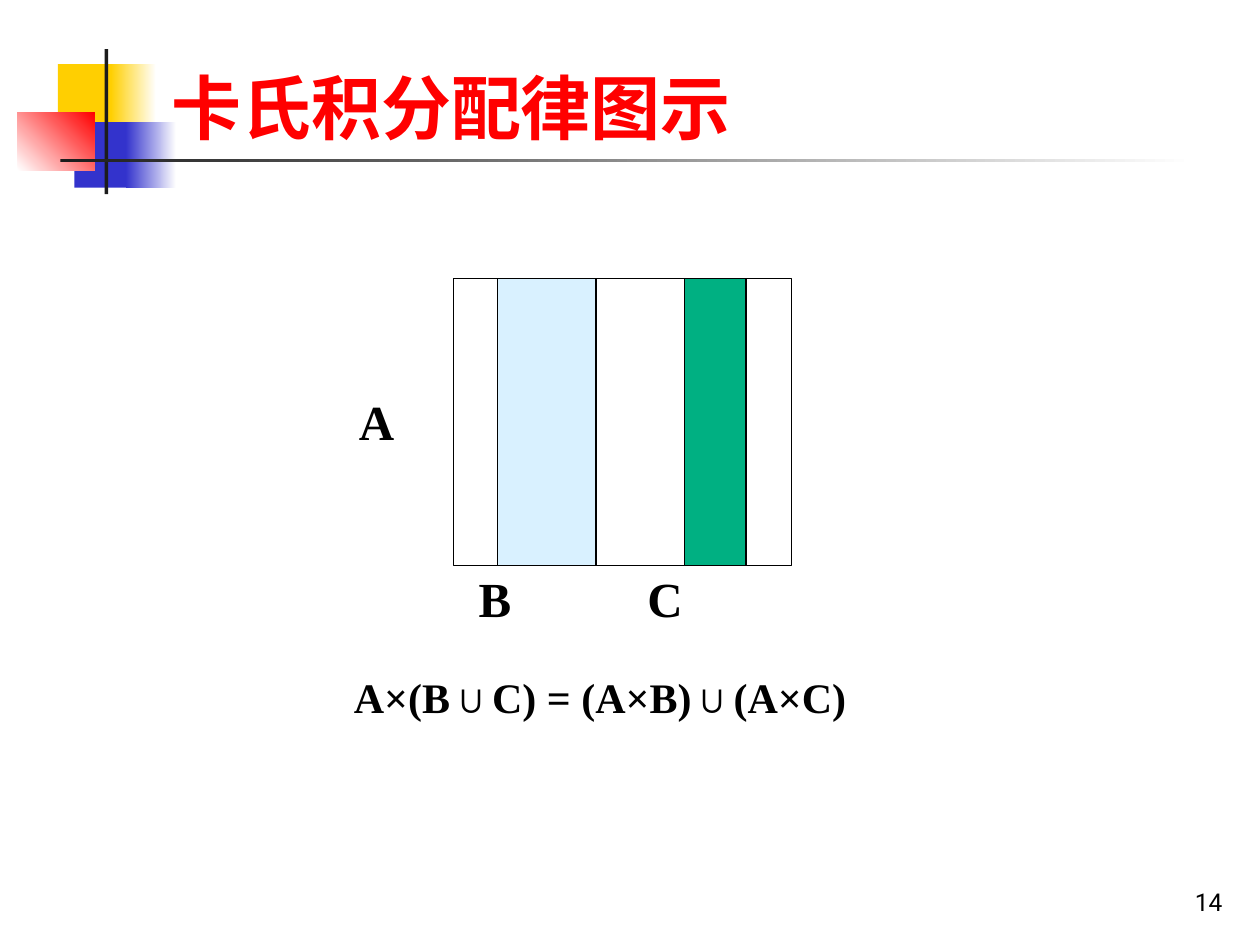
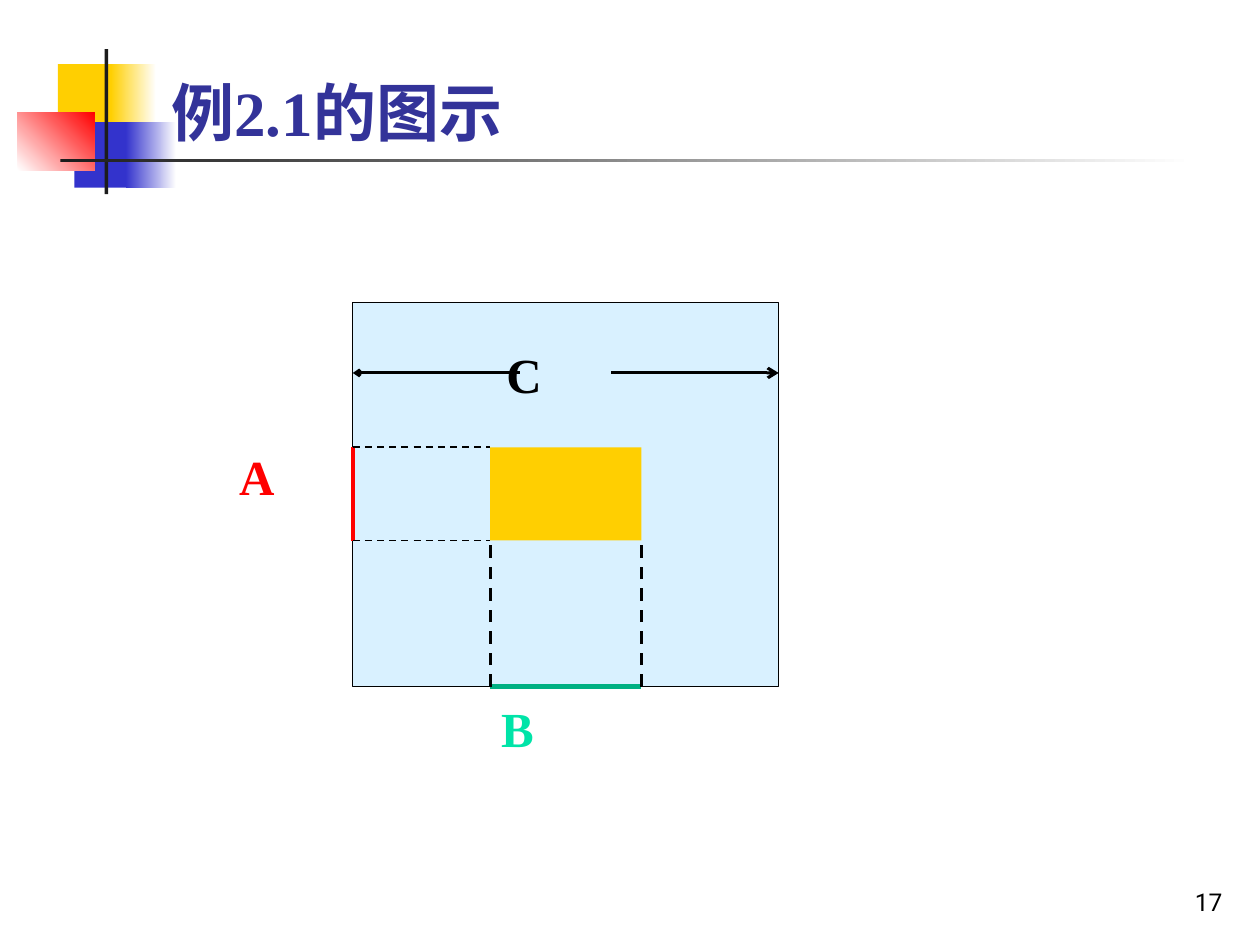
from dataclasses import dataclass

import pptx
import pptx.dml.color
import pptx.enum.dml
import pptx.enum.shapes
import pptx.enum.text
import pptx.oxml
import pptx.oxml.ns
import pptx.util
from pptx.util import Inches

# Shared colours and fonts
BLACK, WHITE, RED = "000000", "FFFFFF", "FF0000"
GOLD, BLUE, DARK = "FFCF01", "3333CC", "1C1C1C"
PALE, GREEN, MINT, NAVY = "D9F1FF", "00B082", "00E4A8", "333399"
SERIF, SANS = "Times New Roman", "Roboto"

ALIGN = pptx.enum.text.PP_ALIGN
ANCHOR = pptx.enum.text.MSO_ANCHOR


@dataclass
class Box:
    left: float
    top: float
    width: float
    height: float
    fill: str | None = None
    fade_to: str | None = None
    angle: float = 0
    line: str | None = None


@dataclass
class Line:
    x1: float
    y1: float
    x2: float
    y2: float
    color: str = BLACK
    width: float = 1
    dashed: bool = False
    head: str | None = None
    tail: str | None = None


@dataclass
class Label:
    text: str
    left: float
    top: float
    color: str = BLACK
    size: float = 28
    width: float = 1.23
    height: float = 0.62


# Title decoration on every slide
DECORATION = [
    Box(0.46, 0.51, 0.48, 0.52, GOLD),
    Box(0.88, 0.51, 0.36, 0.52, GOLD, WHITE),
    Box(0.59, 0.97, 0.46, 0.52, BLUE),
    Box(1, 0.97, 0.4, 0.52, BLUE, WHITE),
    Box(0.14, 0.89, 0.61, 0.46, WHITE, RED, 45),
    Box(0.83, 0.39, 0.03, 1.15, DARK),
    Box(0.48, 1.26, 9, 0.03, DARK, WHITE),
]


def rgb(color: str) -> pptx.dml.color.RGBColor:
    return pptx.dml.color.RGBColor.from_string(color)


def write(tf, text: str, *, size: float, color: str = BLACK, font: str = SERIF,
          bold: bool = True, align=ALIGN.LEFT, anchor=ANCHOR.TOP,
          spacing: float | None = None) -> None:
    tf.word_wrap = True
    tf.auto_size = pptx.enum.text.MSO_AUTO_SIZE.NONE
    tf.vertical_anchor = anchor
    p = tf.paragraphs[0]
    p.alignment = align
    p.line_spacing = spacing
    r = p.add_run()
    r.text = text
    r.font.name, r.font.bold = font, bold
    r.font.size = pptx.util.Pt(size)
    r.font.color.rgb = rgb(color)


def draw_box(s, box: Box) -> None:
    sp = s.shapes.add_shape(
        pptx.enum.shapes.MSO_SHAPE.RECTANGLE, Inches(box.left), Inches(box.top),
        Inches(box.width), Inches(box.height))
    sp.shadow.inherit = False
    if box.fade_to:
        sp.fill.gradient()
        sp.fill.gradient_angle = box.angle
        for stop, color in zip(sp.fill.gradient_stops, (box.fill, box.fade_to)):
            stop.color.rgb = rgb(color)
    elif box.fill:
        sp.fill.solid()
        sp.fill.fore_color.rgb = rgb(box.fill)
    else:
        sp.fill.background()
    if box.line:
        sp.line.color.rgb = rgb(box.line)
        sp.line.width = pptx.util.Pt(0.75)
    else:
        sp.line.fill.background()


def draw_line(s, line: Line) -> None:
    sp = s.shapes.add_connector(
        pptx.enum.shapes.MSO_CONNECTOR.STRAIGHT, Inches(line.x1), Inches(line.y1),
        Inches(line.x2), Inches(line.y2))
    sp.line.color.rgb = rgb(line.color)
    sp.line.width = pptx.util.Pt(line.width)
    if line.dashed:
        sp.line.dash_style = pptx.enum.dml.MSO_LINE.DASH
    ln = sp.element.spPr.find(pptx.oxml.ns.qn("a:ln"))
    namespace = pptx.oxml.ns.nsdecls("a")
    for tag, size in (("headEnd", line.head), ("tailEnd", line.tail)):
        if size:
            ln.append(pptx.oxml.parse_xml(
                f'<a:{tag} {namespace} type="arrow" w="{size}" len="{size}"/>'))
    sp.element.spPr.append(pptx.oxml.parse_xml(f"<a:effectLst {namespace}/>"))


def draw_label(s, label: Label) -> None:
    sp = s.shapes.add_textbox(Inches(label.left), Inches(label.top),
                              Inches(label.width), Inches(label.height))
    write(sp.text_frame, label.text, size=label.size, color=label.color, spacing=1.1)


def draw(s, parts: list) -> None:
    painters = {Box: draw_box, Line: draw_line, Label: draw_label}
    for part in parts:
        painters[type(part)](s, part)


def add_slide(prs, title: str, number: str, color: str, size: float):
    s = prs.slides.add_slide(prs.slide_layouts[5])
    draw(s, DECORATION)
    # Title, placed above the decoration
    sp = s.shapes.title
    sp.element.getparent().append(sp.element)
    sp.left, sp.top = Inches(1.26), Inches(0.39)
    sp.width, sp.height = Inches(8.52), Inches(0.84)
    write(sp.text_frame, title, size=size, color=color, anchor=ANCHOR.BOTTOM)
    # Page number
    sp = s.shapes.add_textbox(Inches(7.72), Inches(6.82), Inches(2.08), Inches(0.5))
    write(sp.text_frame, number, size=14, font=SANS, bold=False,
          align=ALIGN.RIGHT, anchor=ANCHOR.BOTTOM)
    return s


def distributive_law(prs) -> None:
    s = add_slide(prs, "卡氏积分配律图示", "14", RED, 40)
    top, height = 2.21, 2.28
    draw(s, [
        Box(3.6, top, 2.68, height, line=BLACK),
        Box(3.95, top, 0.78, height, PALE, line=BLACK),
        Box(5.43, top, 0.49, height, GREEN, line=BLACK),
        Label("A", 2.75, 3.01),
        Label("B", 3.7, 4.42),
        Label("C", 5.04, 4.42),
        Label("A×(B∪C) = (A×B)∪(A×C)", 2.71, 5.24, size=24, width=4.75, height=0.54),
    ])


def example_diagram(prs) -> None:
    s = add_slide(prs, "例2.1的图示", "17", NAVY, 36)
    # Edges of the outer square and of the product A×B inside it
    left, top, right, bottom = 2.8, 2.4, 6.18, 5.45
    b_left, b_right, a_top, a_bottom = 3.89, 5.09, 3.55, 4.29
    arrow_y = 2.96
    draw(s, [
        Box(left, top, right - left, bottom - top, PALE, line=BLACK),
        Line(left, a_top, left, a_bottom, RED, 2.25),
        Line(b_left, bottom, b_right, bottom, GREEN, 3),
        *(Line(left, y, b_left, y, dashed=True) for y in (a_top, a_bottom)),
        *(Line(x, bottom, x, a_bottom, width=1.75, dashed=True)
          for x in (b_left, b_right)),
        Box(b_left, a_top, b_right - b_left, a_bottom - a_top, GOLD),
        Label("A", 1.8, 3.45, RED),
        Label("B", 3.88, 5.45, MINT),
        Label("C", 3.92, 2.64),
        Line(left, arrow_y, 4.13, arrow_y, width=1.75, head="sm"),
        Line(4.85, arrow_y, right, arrow_y, width=1.75, tail="med"),
    ])


def main() -> None:
    prs = pptx.Presentation()
    prs.slide_width, prs.slide_height = Inches(10), Inches(7.5)
    distributive_law(prs)
    example_diagram(prs)
    prs.save("out.pptx")


if __name__ == "__main__":
    main()
